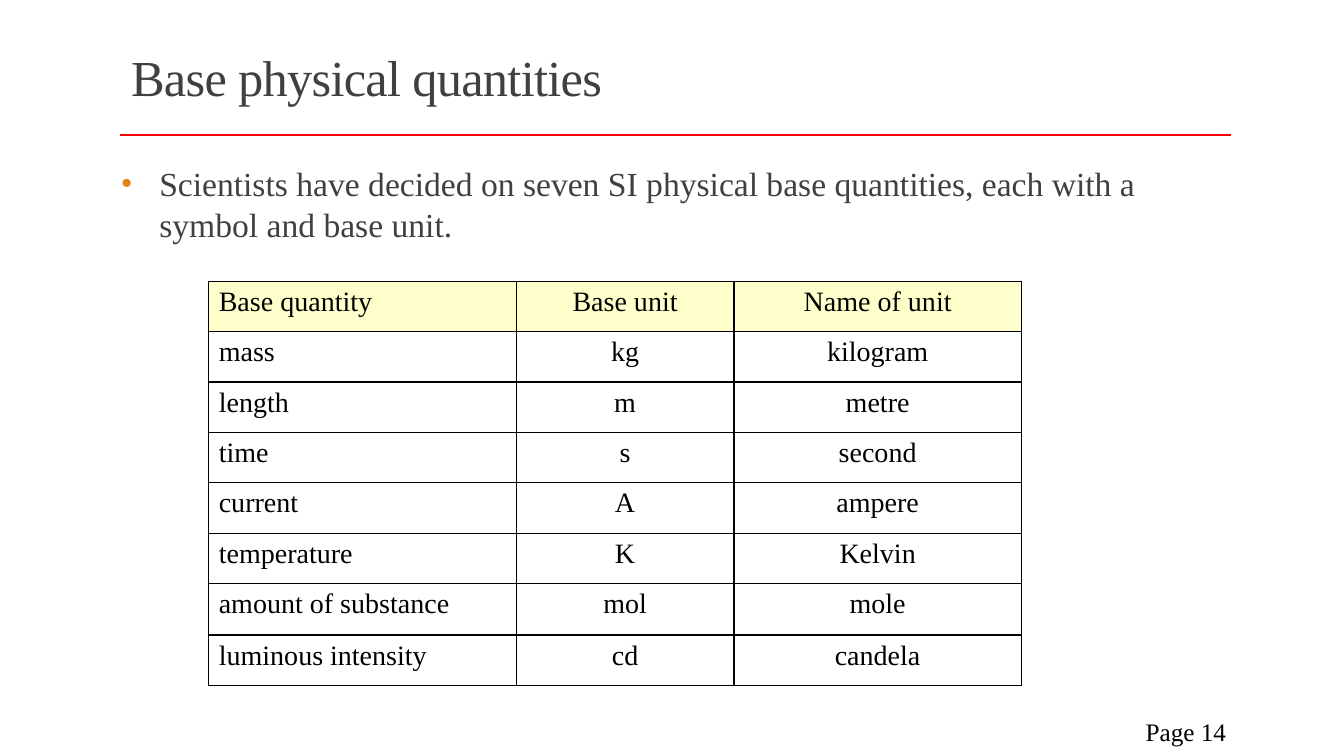
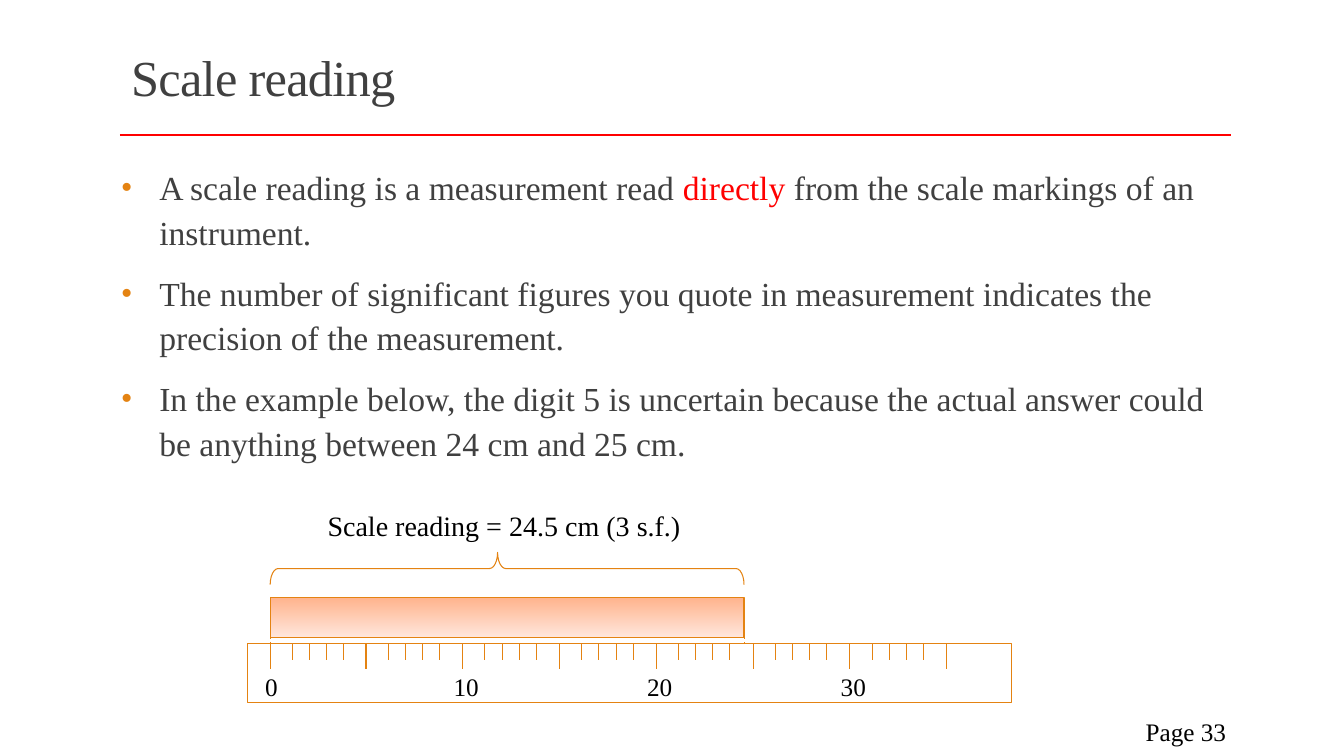
import lxml.etree
import pptx
import pptx.dml.color
import pptx.enum.dml
import pptx.enum.shapes
import pptx.enum.text
import pptx.oxml.ns
import pptx.util

EMU_PER_PX = 9144
ALIGN = pptx.enum.text.PP_ALIGN
ANCHOR = pptx.enum.text.MSO_ANCHOR
SHAPE = pptx.enum.shapes.MSO_SHAPE
DASH = pptx.enum.dml.MSO_LINE.DASH


def px(*lengths):
    return [pptx.util.Emu(length * EMU_PER_PX) for length in lengths]


def colour(code):
    return pptx.dml.color.RGBColor.from_string(code)


def assign(target, values):
    for attribute, value in values.items():
        setattr(target, attribute, value)


def add_xml(parent, tag, **attributes):
    return lxml.etree.SubElement(parent, pptx.oxml.ns.qn(tag), attributes)


class Deck:
    FONT = "Times New Roman"
    BLACK, GREY, RED = "000000", "404040", "FF0000"
    ORANGE, CREAM = "E48312", "FFFFCC"

    def __init__(self):
        self.presentation = pptx.Presentation()
        width, height = px(1333, 750)
        assign(self.presentation, {"slide_width": width, "slide_height": height})
        self.slide = None

    def start_slide(self, heading, page):
        layout = self.presentation.slide_layouts[1]
        self.slide = self.presentation.slides.add_slide(layout)
        self.line(119, 134, 1221, 134, self.RED, 2)
        title = self.slide.shapes.title
        self.place(title, 120, 31, 1100, 98)
        self.frame(title, vertical_anchor=ANCHOR.MIDDLE)
        paragraph = title.text_frame.paragraphs[0]
        assign(paragraph, {"alignment": ALIGN.LEFT, "line_spacing": 0.85})
        run = self.run(paragraph, heading, 36, self.GREY)
        run.font._element.set("spc", "-50")
        self.text(f"Page {page}", 1083, 706, 143, 40, 18,
                  ALIGN.RIGHT, ANCHOR.MIDDLE)

    def place(self, shape, *box):
        assign(shape, dict(zip(("left", "top", "width", "height"), px(*box))))

    def frame(self, shape, **values):
        assign(shape.text_frame, {
            "word_wrap": True,
            "auto_size": pptx.enum.text.MSO_AUTO_SIZE.NONE,
            **values,
        })

    def run(self, paragraph, words, size, code):
        run = paragraph.add_run()
        run.text = words
        assign(run.font, {"name": self.FONT, "size": pptx.util.Pt(size)})
        run.font.color.rgb = colour(code)
        return run

    def bullets(self, items, before, spacing):
        body = self.slide.placeholders[1]
        self.place(body, 120, 157, 1102, 512)
        self.frame(body, margin_left=0, margin_right=0,
                   vertical_anchor=ANCHOR.TOP)
        for index, item in enumerate(items):
            paragraph = (body.text_frame.add_paragraph() if index
                         else body.text_frame.paragraphs[0])
            assign(paragraph, {
                "space_before": pptx.util.Pt(before),
                "space_after": pptx.util.Pt(6),
                "line_spacing": spacing,
            })
            indent = px(38)[0]
            properties = paragraph._p.get_or_add_pPr()
            properties.set("marL", str(indent))
            properties.set("indent", str(-indent))
            bullet_colour = add_xml(properties, "a:buClr")
            add_xml(bullet_colour, "a:srgbClr", val=self.ORANGE)
            add_xml(properties, "a:buFont", typeface=self.FONT)
            add_xml(properties, "a:buChar", char="•")
            for words, code in item:
                self.run(paragraph, words, 24, code)

    def text(self, words, left, top, width, height, size,
             alignment=ALIGN.LEFT, anchor=ANCHOR.TOP):
        box = self.slide.shapes.add_textbox(*px(left, top, width, height))
        self.frame(box, vertical_anchor=anchor)
        paragraph = box.text_frame.paragraphs[0]
        paragraph.alignment = alignment
        self.run(paragraph, words, size, self.BLACK)

    def stroke(self, line, code, points, dash=None):
        line.color.rgb = colour(code)
        assign(line, {"width": pptx.util.Pt(points), "dash_style": dash})

    def line(self, x1, y1, x2, y2, code=ORANGE, points=0.75, dash=None):
        connector = self.slide.shapes.add_connector(
            pptx.enum.shapes.MSO_CONNECTOR.STRAIGHT, *px(x1, y1, x2, y2))
        self.stroke(connector.line, code, points, dash)
        add_xml(connector._element.spPr, "a:effectLst")

    def shape(self, kind, *box, gradient=None):
        shape = self.slide.shapes.add_shape(kind, *px(*box))
        shape.shadow.inherit = False
        self.stroke(shape.line, self.ORANGE, 0.75)
        if gradient:
            shape.fill.gradient()
            shape.fill.gradient_angle = 270
            for stop, code in zip(shape.fill.gradient_stops, gradient):
                stop.color.rgb = colour(code)
        else:
            shape.fill.background()
        return shape

    def table(self, rows, left, top, widths, heights):
        table = self.slide.shapes.add_table(
            len(rows), len(widths),
            *px(left, top, sum(widths), sum(heights))).table
        assign(table, {"first_row": False, "horz_banding": False})
        for column, width in zip(table.columns, px(*widths)):
            column.width = width
        for row, height in zip(table.rows, px(*heights)):
            row.height = height
        for r, row in enumerate(rows):
            for c, words in enumerate(row):
                cell = table.cell(r, c)
                self.border(cell)
                if r == 0:
                    cell.fill.solid()
                    cell.fill.fore_color.rgb = colour(self.CREAM)
                else:
                    cell.fill.background()
                paragraph = cell.text_frame.paragraphs[0]
                paragraph.alignment = ALIGN.CENTER if c else ALIGN.LEFT
                self.run(paragraph, words, 20, self.BLACK)

    def border(self, cell):
        properties = cell._tc.get_or_add_tcPr()
        for side in ("a:lnL", "a:lnR", "a:lnT", "a:lnB"):
            edge = add_xml(properties, side, w=str(pptx.util.Pt(1)))
            add_xml(add_xml(edge, "a:solidFill"), "a:srgbClr", val=self.BLACK)


def base_quantities(deck):
    deck.start_slide("Base physical quantities", 14)
    deck.bullets([[(
        "Scientists have decided on seven SI physical base quantities, "
        "each with a symbol and base unit.", deck.GREY)]], 18, 1.0)
    quantities = [
        ("Base quantity", "Base unit", "Name of unit"),
        ("mass", "kg", "kilogram"),
        ("length", "m", "metre"),
        ("time", "s", "second"),
        ("current", "A", "ampere"),
        ("temperature", "K", "Kelvin"),
        ("amount of substance", "mol", "mole"),
        ("luminous intensity", "cd", "candela"),
    ]
    deck.table(quantities, 207, 279, (305, 216, 285), [50] * 6 + [51, 50])


def scale_reading(deck):
    deck.start_slide("Scale reading", 33)
    deck.bullets([
        [("A scale reading is a measurement read ", deck.GREY),
         ("directly", deck.RED),
         (" from the scale markings of an instrument.", deck.GREY)],
        [("The number of significant figures you quote in measurement "
          "indicates the precision of the measurement.", deck.GREY)],
        [("In the example below, the digit 5 is uncertain because the actual "
          "answer could be anything between 24 cm and 25 cm.", deck.GREY)],
    ], 6, 1.1)

    zero, ruler_top, rod_length = 268, 638, 470
    deck.shape(SHAPE.RECTANGLE, 246, ruler_top, 757, 59)
    for mark in range(36):
        five, step = divmod(mark, 5)
        x = zero + five * 671 // 7 + (0, 22, 39, 56, 73)[step]
        deck.line(x, ruler_top, x, ruler_top + (17 if step else 26))
    deck.shape(SHAPE.RECTANGLE, zero, 593, rod_length, 40,
               gradient=("FFB48E", "FFE7DD"))
    deck.text("0", 253, 661, 38, 36, 18)
    for ten in range(3):
        deck.text(str(10 * ten + 10), 440 + 192 * ten, 661, 54, 36, 18)
    for rod_end in (zero, zero + rod_length):
        deck.line(rod_end, 594, rod_end, ruler_top, dash=DASH)

    brace = deck.shape(SHAPE.RIGHT_BRACE, 487, 329, 32, rod_length)
    brace.rotation = 270
    for index, ratio in enumerate((0.25, 0.48)):
        brace.adjustments[index] = ratio
    deck.text("Scale reading = 24.5 cm (3 s.f.)", 315, 500, 399, 44, 20)


def main():
    deck = Deck()
    base_quantities(deck)
    scale_reading(deck)
    deck.presentation.save("out.pptx")


if __name__ == "__main__":
    main()
